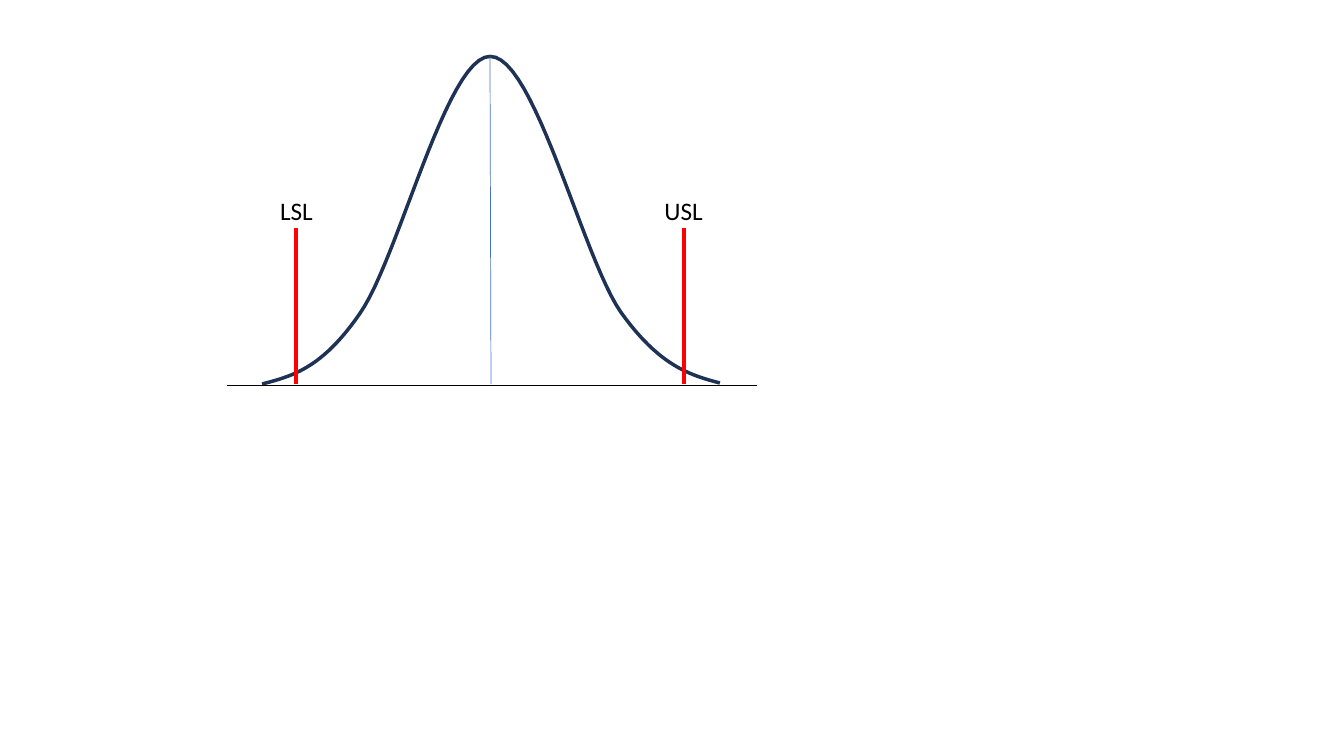
from pptx import Presentation
from pptx.dml.color import RGBColor as RGB
from pptx.enum.shapes import MSO_CONNECTOR as Conn
from pptx.enum.text import MSO_AUTO_SIZE as Fit, PP_ALIGN as Align
from pptx.oxml.ns import qn
from pptx.util import Inches, Pt
from lxml.etree import SubElement

START = (2.6, 3.81)
CURVES = [
    ((2.9, 3.73), (3.19, 3.66), (3.57, 3.11)),
    ((3.95, 2.57), (4.43, 0.56), (4.86, 0.56)),
    ((5.3, 0.55), (5.78, 2.56), (6.16, 3.1)),
    ((6.54, 3.63), (6.84, 3.72), (7.14, 3.8)),
]
STEPS = 24
NAVY, BLUE, RED, BLACK = "1E3256", "4472C4", "FF0000", "000000"
MEAN = (4.86, 0.56, 4.87, 3.81)
BASE = (2.25, 3.82, 7.51, 3.82)
LIMITS = [("LSL", 2.94, 0.53), ("USL", 6.78, 0.59)]
TOP, FOOT = 2.26, 3.81
TEXT_TOP, TEXT_H = 1.89, 0.4


def color(code):
    return RGB.from_string(code)


def stroke(shape, code, width):
    shape.line.color.rgb = color(code)
    shape.line.width = Pt(width)


def rule(ends, code, width):
    line = slide.shapes.add_connector(Conn.STRAIGHT, *map(Inches, ends))
    stroke(line, code, width)
    SubElement(line._element.spPr, qn("a:effectLst"))


def bezier(a, b, c, d, t):
    u = 1 - t
    return tuple(
        Inches(u**3 * p + 3 * u * u * t * q + 3 * u * t * t * r + t**3 * s)
        for p, q, r, s in zip(a, b, c, d)
    )


def bell():
    points, last = [], START
    for b, c, d in CURVES:
        points += [bezier(last, b, c, d, n / STEPS) for n in range(1, STEPS + 1)]
        last = d
    form = slide.shapes.build_freeform(*map(Inches, START))
    form.add_line_segments(points, close=False)
    shape = form.convert_to_shape()
    shape.shadow.inherit = False
    shape.fill.background()
    stroke(shape, NAVY, 2.5)


def label(text, mid, width):
    box = slide.shapes.add_textbox(
        *map(Inches, (mid - width / 2, TEXT_TOP, width, TEXT_H))
    )
    frame = box.text_frame
    frame.word_wrap = False
    frame.auto_size = Fit.SHAPE_TO_FIT_TEXT
    para = frame.paragraphs[0]
    para.text = text
    para.alignment = Align.CENTER
    para.font.name = "Calibri"
    para.font.size = Pt(18)
    para.font.color.rgb = color(BLACK)


deck = Presentation()
deck.slide_width, deck.slide_height = Inches(13.33), Inches(7.5)
slide = deck.slides.add_slide(deck.slide_layouts[6])

bell()
rule(MEAN, BLUE, 0.5)
for text, mid, width in LIMITS:
    rule((mid, TOP, mid, FOOT), RED, 2.75)
    label(text, mid, width)
rule(BASE, BLACK, 0.5)

deck.save("out.pptx")
